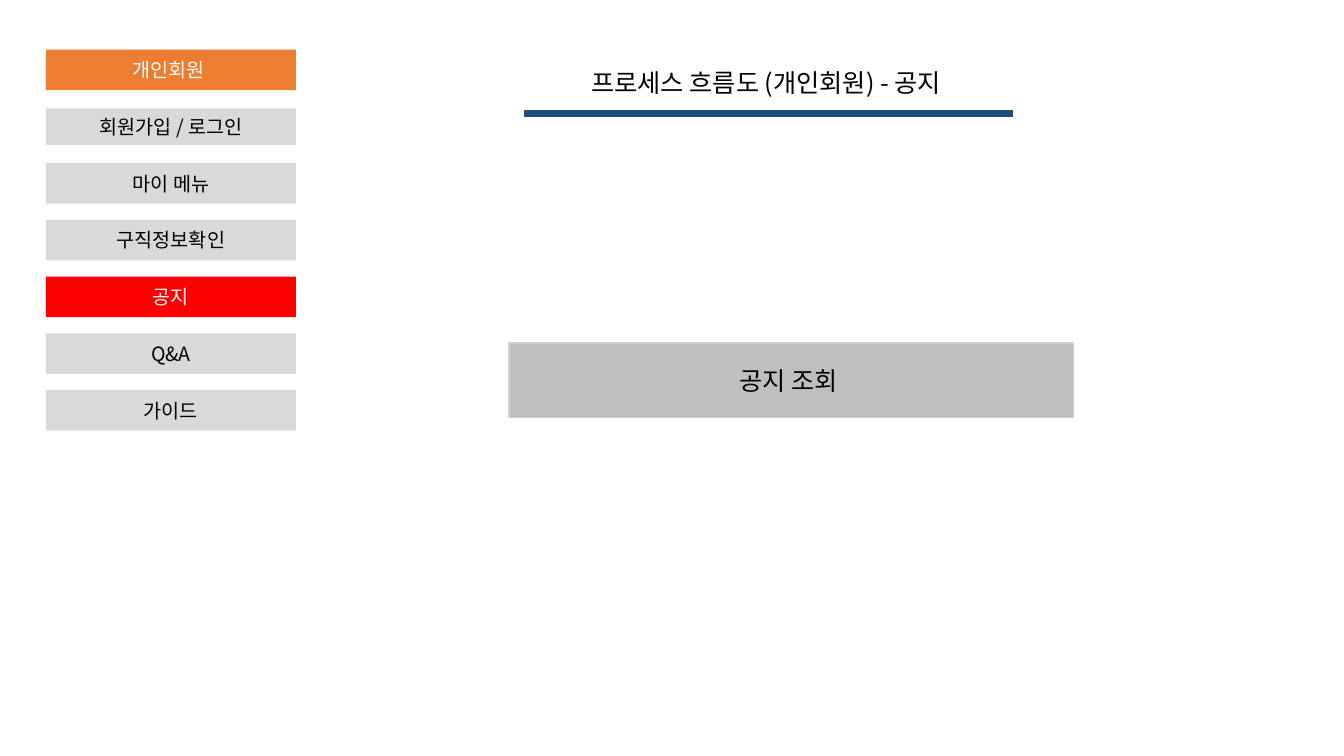
import pptx
import pptx.dml.color
import pptx.enum.shapes
import pptx.enum.text
import pptx.oxml
import pptx.oxml.ns
import pptx.util
from pptx.util import Cm
from dataclasses import dataclass


@dataclass(frozen=True)
class Theme:
    font: str = "Noto Sans CJK KR"
    menu_size: int = 14
    heading_size: int = 18
    black: str = "000000"
    white: str = "FFFFFF"
    orange: str = "ED7D31"
    red: str = "FF0000"
    light_gray: str = "D9D9D9"
    gray: str = "BFBFBF"
    border: str = "D0CECE"
    navy: str = "1F4E79"


theme = Theme()
rgb = pptx.dml.color.RGBColor.from_string


def write_text(shape, text, size, color):
    shape.text_frame.word_wrap = True
    paragraph = shape.text_frame.paragraphs[0]
    paragraph.alignment = pptx.enum.text.PP_ALIGN.CENTER
    run = paragraph.add_run()
    run.text = text
    run.font.size = pptx.util.Pt(size)
    run.font.name = theme.font
    run.font.color.rgb = rgb(color)
    east_asian = pptx.oxml.parse_xml(
        f'<a:ea {pptx.oxml.ns.nsdecls("a")} typeface="{theme.font}"/>'
    )
    run.font._element.find(pptx.oxml.ns.qn("a:latin")).addnext(east_asian)


def add_box(left, top, width, height, fill, text, size, color):
    shape = slide.shapes.add_shape(
        pptx.enum.shapes.MSO_SHAPE.RECTANGLE, Cm(left), Cm(top), Cm(width), Cm(height)
    )
    shape.shadow.inherit = False
    shape.fill.solid()
    shape.fill.fore_color.rgb = rgb(fill)
    shape.line.fill.background()
    shape.text_frame.vertical_anchor = pptx.enum.text.MSO_ANCHOR.MIDDLE
    write_text(shape, text, size, color)
    return shape


presentation = pptx.Presentation()
presentation.slide_width = Cm(33.87)
presentation.slide_height = Cm(19.05)
slide = presentation.slides.add_slide(presentation.slide_layouts[6])

menu_left, menu_top, menu_width, menu_pitch = 1.16, 1.25, 6.3, 1.43
row_height = 1.02
menu = [
    ("개인회원 ", theme.orange, theme.white, row_height),
    ("회원가입 / 로그인", theme.light_gray, theme.black, 0.92),
    ("마이 메뉴", theme.light_gray, theme.black, row_height),
    ("구직정보확인", theme.light_gray, theme.black, row_height),
    ("공지", theme.red, theme.white, row_height),
    ("Q&A", theme.light_gray, theme.black, row_height),
    ("가이드", theme.light_gray, theme.black, row_height),
]
for row, (label, fill, color, height) in enumerate(menu):
    top = menu_top + row * menu_pitch + (row_height - height) / 2
    add_box(menu_left, top, menu_width, height, fill, label, theme.menu_size, color)

notice = add_box(
    12.83, 8.64, 14.22, 1.88, theme.gray, "공지 조회 ", theme.heading_size, theme.black
)
notice.line.color.rgb = rgb(theme.border)
notice.line.width = pptx.util.Pt(1)

title = slide.shapes.add_textbox(Cm(13.21), Cm(1.57), Cm(12.34), Cm(1.02))
write_text(title, "프로세스 흐름도 (개인회원) - 공지 ", theme.heading_size, theme.black)
title.text_frame.auto_size = pptx.enum.text.MSO_AUTO_SIZE.SHAPE_TO_FIT_TEXT

underline = slide.shapes.add_connector(
    pptx.enum.shapes.MSO_CONNECTOR.STRAIGHT, Cm(13.21), Cm(2.85), Cm(25.53), Cm(2.85)
)
underline.line.color.rgb = rgb(theme.navy)
underline.line.width = pptx.util.Pt(5)
underline._element.spPr.append(
    pptx.oxml.parse_xml(f'<a:effectLst {pptx.oxml.ns.nsdecls("a")}/>')
)

presentation.save("out.pptx")
